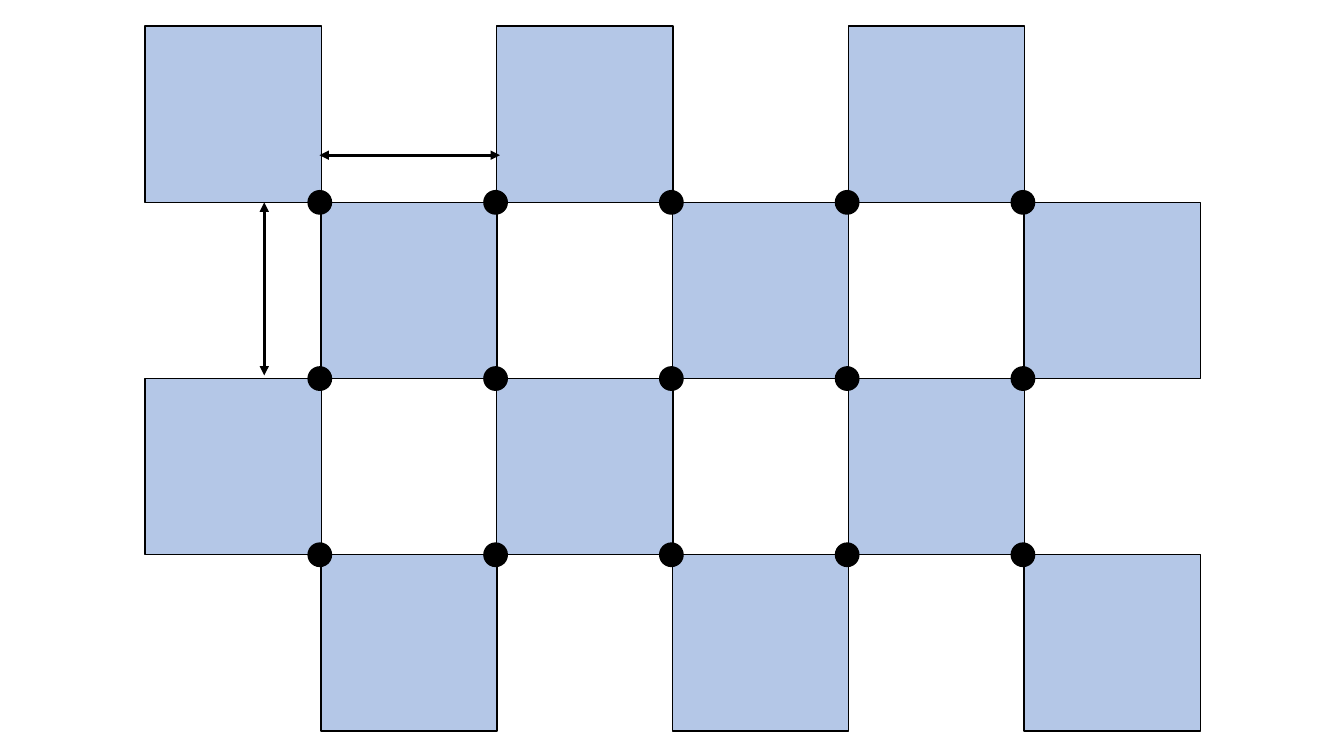
from dataclasses import dataclass
from itertools import product

from lxml.etree import SubElement
from pptx import Presentation
from pptx.dml.color import RGBColor
from pptx.enum.shapes import MSO_CONNECTOR as Connector, MSO_SHAPE as Preset
from pptx.oxml.ns import qn
from pptx.util import Cm, Pt


@dataclass(frozen=True)
class Theme:
    tile: RGBColor = RGBColor(0xB4, 0xC7, 0xE7)
    ink: RGBColor = RGBColor(0, 0, 0)
    outline: Pt = Pt(1)
    arrow: Pt = Pt(2.25)


@dataclass(frozen=True)
class Box:
    left: float
    top: float
    width: float
    height: float


THEME = Theme()
ROWS, COLUMNS = 4, 6
DOT = 0.59
BOARD = Box(3.66, 0.66, 26.58, 17.76)


def add_figure(shapes, preset, box, colour):
    figure = shapes.add_shape(
        preset, Cm(box.left), Cm(box.top), Cm(box.width), Cm(box.height)
    )
    figure.shadow.inherit = False
    figure.fill.solid()
    figure.fill.fore_color.rgb = colour
    figure.line.color.rgb = THEME.ink
    figure.line.width = THEME.outline


def add_double_arrow(shapes, start, end):
    arrow = shapes.add_connector(
        Connector.STRAIGHT, *(Cm(length) for length in start + end)
    )
    arrow.line.color.rgb = THEME.ink
    arrow.line.width = THEME.arrow
    outline = arrow.line._get_or_add_ln()
    for tip in ("a:headEnd", "a:tailEnd"):
        SubElement(outline, qn(tip), type="triangle")
    SubElement(arrow._element.spPr, qn("a:effectLst"))


def draw_checkerboard(shapes, box):
    column_step, row_step = box.width / COLUMNS, box.height / ROWS
    for row, column in product(range(ROWS), range(COLUMNS)):
        if (row + column) % 2 == 0:
            tile = Box(box.left + column * column_step,
                       box.top + row * row_step, row_step, row_step)
            add_figure(shapes, Preset.RECTANGLE, tile, THEME.tile)
    for row, column in product(range(1, ROWS), range(1, COLUMNS)):
        corner = Box(box.left + column * column_step - DOT / 2 - 0.03,
                     box.top + row * row_step - DOT / 2, DOT, DOT)
        add_figure(shapes, Preset.OVAL, corner, THEME.ink)


def draw_spacing_arrows(shapes, box):
    column_step, row_step = box.width / COLUMNS, box.height / ROWS
    across = box.top + 3.25
    add_double_arrow(shapes, (box.left + column_step - 0.04, across),
                     (box.left + 2 * column_step + 0.08, across))
    down = box.left + 3
    add_double_arrow(shapes, (down, box.top + row_step),
                     (down, box.top + 2 * row_step - 0.08))


def main():
    deck = Presentation()
    deck.slide_width, deck.slide_height = Cm(33.87), Cm(19.05)
    slide = deck.slides.add_slide(deck.slide_layouts[6])
    draw_checkerboard(slide.shapes.add_group_shape().shapes, BOARD)
    draw_spacing_arrows(slide.shapes, BOARD)
    deck.save("out.pptx")


if __name__ == "__main__":
    main()
